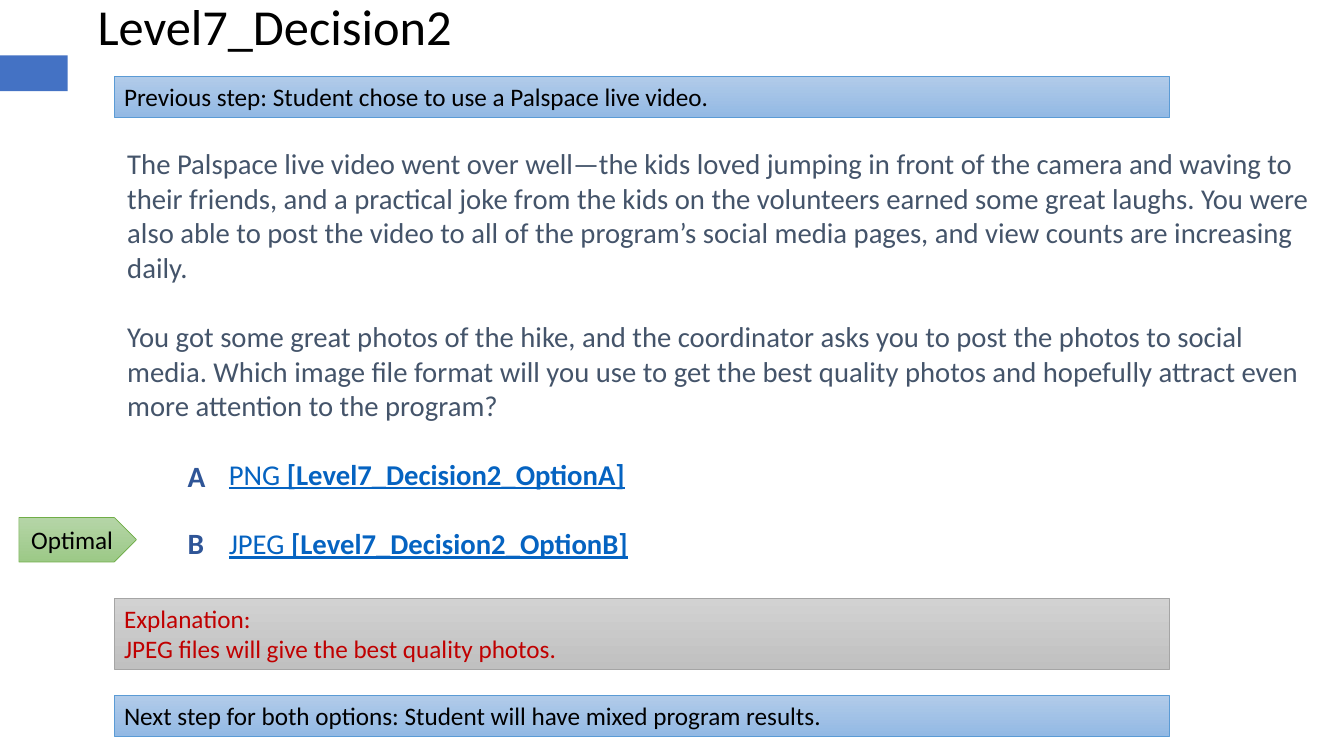
from dataclasses import dataclass

from pptx import Presentation
from pptx.dml.color import RGBColor
from pptx.enum.shapes import MSO_SHAPE
from pptx.enum.text import MSO_ANCHOR, PP_ALIGN
from pptx.util import Pt

Box = tuple[float, float, float, float]


@dataclass
class Run:
    text: str
    bold: bool = False


@dataclass
class Note:
    """Free text; each paragraph is a list of runs."""
    box: Box
    paras: list[list[Run]]
    size: float
    color: str
    under: bool = False
    gap: float = 0
    inset: tuple[float, float] = (9.4, 5)
    anchor: MSO_ANCHOR = MSO_ANCHOR.TOP
    lines: float = 1
    align: PP_ALIGN = PP_ALIGN.LEFT


@dataclass
class Panel:
    """Gradient shape with text."""
    box: Box
    kind: MSO_SHAPE
    shades: tuple[str, str]
    edge: str
    texts: list[str]
    ink: str = "000000"
    anchor: MSO_ANCHOR = MSO_ANCHOR.TOP
    align: PP_ALIGN = PP_ALIGN.LEFT


def paint(target, code: str) -> None:
    target.rgb = RGBColor.from_string(code)


def write(shape, note: Note) -> None:
    frame = shape.text_frame
    frame.word_wrap = True
    frame.vertical_anchor = note.anchor
    frame.margin_left = frame.margin_right = Pt(note.inset[0])
    frame.margin_top = frame.margin_bottom = Pt(note.inset[1])
    for i, runs in enumerate(note.paras):
        para = frame.add_paragraph() if i else frame.paragraphs[0]
        para.alignment = note.align
        para.line_spacing = note.lines
        if i:
            para.space_before = Pt(note.gap)
        for part in runs:
            run = para.add_run()
            run.text = part.text
            font = run.font
            font.name = "Calibri"
            font.size = Pt(note.size)
            font.bold = part.bold
            font.underline = note.under
            paint(font.color, note.color)


def place(slide, kind: MSO_SHAPE, box: Box):
    shape = slide.shapes.add_shape(kind, *map(Pt, box))
    shape.shadow.inherit = False
    return shape


def draw_note(slide, note: Note) -> None:
    write(slide.shapes.add_textbox(*map(Pt, note.box)), note)


def draw_panel(slide, panel: Panel) -> None:
    shape = place(slide, panel.kind, panel.box)
    shape.fill.gradient()
    shape.fill.gradient_angle = 270
    for stop, shade in zip(shape.fill.gradient_stops, panel.shades):
        paint(stop.color, shade)
    paint(shape.line.color, panel.edge)
    shape.line.width = Pt(0.5)
    write(shape, Note(panel.box, [[Run(t)] for t in panel.texts], 18, panel.ink,
                      inset=(7.2, 3.6), anchor=panel.anchor, align=panel.align))


# Shared measures and colours
LEFT, WIDE = 81.5, 754
LINE = 25
BLUE = ("B1CBE9", "93B9E4")
RECT = MSO_SHAPE.RECTANGLE

NOTES = [
    # Title
    Note((62.6, 0.7, 820, 39.6), [[Run("Level7_Decision2")]], 36, "000000",
         inset=(7.2, 3.6), anchor=MSO_ANCHOR.MIDDLE, lines=0.9),
    # Story and question
    Note((LEFT, 99.4, 878.5, 210), [
        [Run("The Palspace live video went over well—the kids loved jumping in front "
             "of the camera and waving to their friends, and a practical joke from the "
             "kids on the volunteers earned some great laughs. You were also able to "
             "post the video to all of the program’s social media pages, and view "
             "counts are increasing daily.")],
        [Run("You got some great photos of the hike, and the coordinator asks you to "
             "post the photos to social media. Which image file format will you use to "
             "get the best quality photos and hopefully attract even more attention to "
             "the program?")],
    ], 20.5, "44546A", gap=LINE),
    # Options
    Note((154, 321, 425.5, 93.6), [
        [Run(f"{name} "), Run(f"[Level7_Decision2_Option{mark}]", True)]
        for name, mark in (("PNG", "A"), ("JPEG", "B"))
    ], 20.5, "0563C1", under=True, gap=LINE),
] + [
    # Option letters
    Note((124.6, top, 50, 32), [[Run(mark, True)]], 21, "2F5597")
    for mark, top in (("A", 322), ("B", 370))
]

PANELS = [
    # Steps before and after
    Panel((LEFT, 54.7, WIDE, 29), RECT, BLUE, "5B9BD5",
          ["Previous step: Student chose to use a Palspace live video."]),
    Panel((LEFT, 496.8, WIDE, 29), RECT, BLUE, "5B9BD5",
          ["Next step for both options: Student will have mixed program results."]),
    # Explanation
    Panel((LEFT, 427.2, WIDE, 51), RECT, ("D2D2D2", "C0C0C0"), "A5A5A5",
          ["Explanation:", "JPEG files will give the best quality photos."], "C00000"),
    # Best choice
    Panel((13.5, 369.7, 84, 31.7), MSO_SHAPE.PENTAGON, ("B5D5A7", "9CC987"), "70AD47",
          ["Optimal"], anchor=MSO_ANCHOR.MIDDLE, align=PP_ALIGN.CENTER),
]


def main() -> None:
    deck = Presentation()
    deck.slide_width, deck.slide_height = Pt(960), Pt(540)
    slide = deck.slides.add_slide(deck.slide_layouts[6])

    # Accent tab at the left edge
    tab = place(slide, RECT, (0, 39.6, 48.4, 25.6))
    tab.fill.solid()
    paint(tab.fill.fore_color, "4472C4")
    tab.line.fill.background()

    for note in NOTES:
        draw_note(slide, note)
    for panel in PANELS:
        draw_panel(slide, panel)
    deck.save("out.pptx")


if __name__ == "__main__":
    main()
